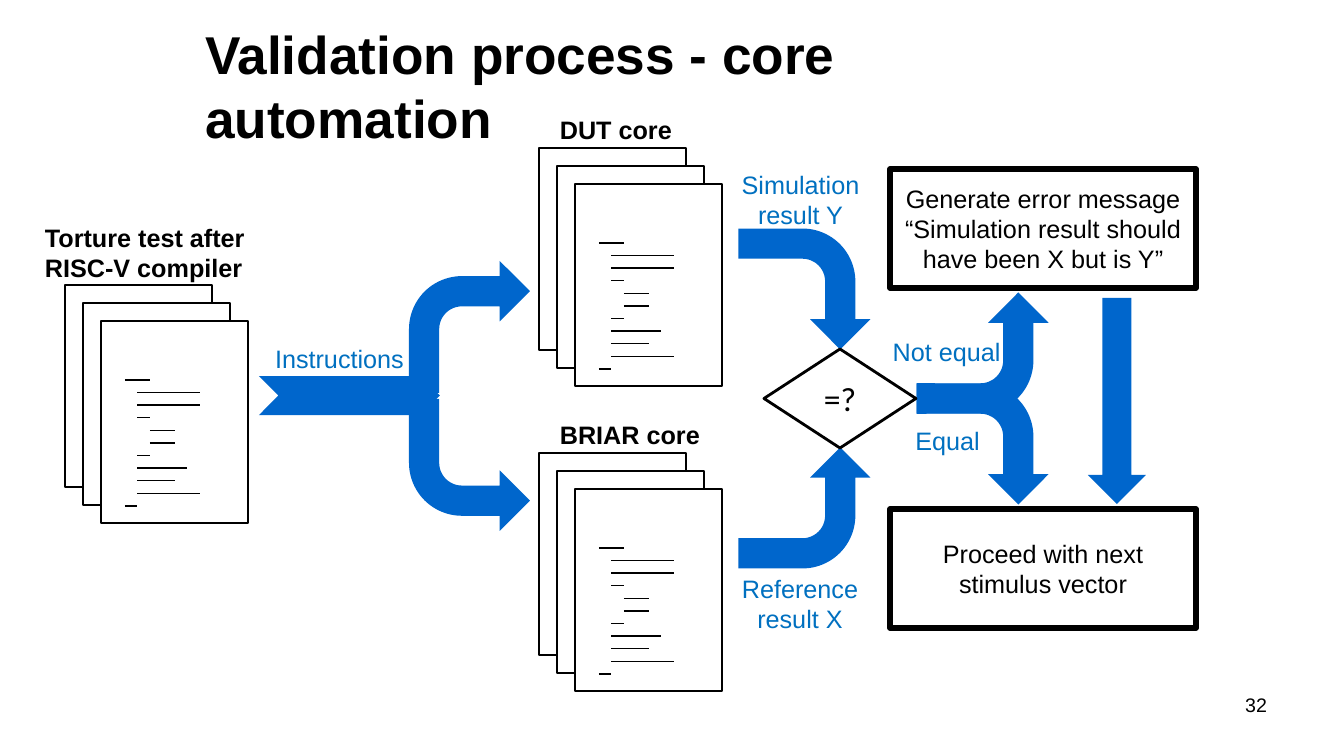
"""Build the slide on the validation process with core automation."""
import pptx
import pptx.dml.color
import pptx.enum.shapes
import pptx.enum.text
import pptx.oxml.ns
import pptx.util

RGB = pptx.dml.color.RGBColor
SHAPE = pptx.enum.shapes.MSO_SHAPE
ALIGN = pptx.enum.text.PP_ALIGN
ANCHOR = pptx.enum.text.MSO_ANCHOR

BLACK = RGB(0x00, 0x00, 0x00)
WHITE = RGB(0xFF, 0xFF, 0xFF)
ARROW_BLUE = RGB(0x00, 0x66, 0xCC)
LABEL_BLUE = RGB(0x00, 0x70, 0xC0)

SLIDE_SIZE = (1344, 756)
EMU_PER_PX = 12192000 / 1344

TITLE = ("Validation process - core automation", (195, 16, 900, 75))
NUMBER = ("32", (964, 688, 313, 52))
STACKS = [
    ("Torture test after RISC-V compiler", (65, 285), (35, 217, 251, 72)),
    ("DUT core", (539, 148), (550, 109, 207, 40)),
    ("BRIAR core", (539, 453), (550, 414, 207, 40)),
]
SHEET_SIZE = (147, 202)
SHEET_SHIFTS = (0, 18, 36)
CODE_START = (60, 95)
CODE_AREA = (75, 126)
CODE_COLUMNS = 6
CODE_LINES = [(0, 2), (1, 5), (1, 5), (1, 1), (2, 2), (2, 2),
              (1, 1), (1, 4), (1, 3), (1, 5), (0, 1)]
BENT_SIZE = (121, 132)
BENT_ARROWS = [
    ((409, 261), 0, False),
    ((409, 399), 0, True),
    ((744, 223), 90, False),
    ((744, 442), 270, True),
    ((922, 287), 270, True),
    ((922, 378), 90, False),
]
CHEVRON = (259, 376, 181, 39)
DOWN_ARROW = (1088, 298, 58, 206)
FLOW_LABELS = [
    ("Instructions", (259, 338, 161, 40)),
    ("Simulation result Y", (731, 164, 139, 72)),
    ("Reference result X", (730, 568, 140, 72)),
    ("Not equal", (880, 331, 133, 40)),
    ("Equal", (881, 420, 133, 40)),
]
DECISION = ("=?", (764, 349, 152, 99))
OUTCOMES = [
    ("Generate error message\n“Simulation result should have been X but is Y”", (890, 169, 306, 119)),
    ("Proceed with next stimulus vector", (890, 509, 306, 119)),
]


def px(length):
    return pptx.util.Emu(round(length * EMU_PER_PX))


def write(shape, text, size=18, color=BLACK, bold=False, align=ALIGN.LEFT,
          anchor=ANCHOR.TOP, font="Arial"):
    frame = shape.text_frame
    frame.text = text
    frame.auto_size = pptx.enum.text.MSO_AUTO_SIZE.NONE
    frame.word_wrap = True
    frame.vertical_anchor = anchor
    font_format = {"name": font, "size": pptx.util.Pt(size), "bold": bold}
    for para in frame.paragraphs:
        para.alignment = align
        for span in para.runs:
            for name, value in font_format.items():
                setattr(span.font, name, value)
            span.font.color.rgb = color


def add_label(shapes, text, box, **style):
    write(shapes.add_textbox(*map(px, box)), text, **style)


def add_figure(shapes, kind, box, fill=None, line=None):
    shape = shapes.add_shape(kind, *map(px, box))
    shape.shadow.inherit = False
    if fill is None:
        shape.fill.background()
    else:
        shape.fill.solid()
        shape.fill.fore_color.rgb = fill
    if line is None:
        shape.line.fill.background()
    else:
        shape.line.color.rgb = BLACK
        shape.line.width = pptx.util.Pt(line)
    return shape


def add_code_line(shapes, left, top, length):
    stroke = shapes.add_connector(pptx.enum.shapes.MSO_CONNECTOR.STRAIGHT,
                                  px(left), px(top), px(left + length), px(top))
    stroke.line.color.rgb = BLACK
    stroke.line.width = pptx.util.Pt(1)
    effects = pptx.oxml.ns.qn("a:effectLst")
    stroke._element.spPr.append(stroke._element.makeelement(effects, {}))


def add_stack(page, text, origin, label_box):
    shapes = page.shapes.add_group_shape().shapes
    left, top = origin
    for shift in SHEET_SHIFTS:
        add_figure(shapes, SHAPE.RECTANGLE, (left + shift, top + shift, *SHEET_SIZE), WHITE, 1.5)
    column = CODE_AREA[0] / CODE_COLUMNS
    row_height = CODE_AREA[1] / (len(CODE_LINES) - 1)
    for row, (indent, length) in enumerate(CODE_LINES):
        add_code_line(shapes, left + CODE_START[0] + indent * column,
                      top + CODE_START[1] + row * row_height, length * column)
    add_label(shapes, text, label_box, bold=True)


def add_bent_arrow(page, place, turn, flipped):
    arrow = add_figure(page.shapes, SHAPE.BENT_ARROW, (*place, *BENT_SIZE), ARROW_BLUE)
    arrow.rotation = turn
    if flipped:
        arrow._element.spPr.xfrm.set("flipV", "1")


def main():
    deck = pptx.Presentation()
    deck.slide_width, deck.slide_height = map(px, SLIDE_SIZE)
    page = deck.slides.add_slide(deck.slide_layouts[5])
    title = page.shapes.title
    for name, value in zip(("left", "top", "width", "height"), TITLE[1]):
        setattr(title, name, px(value))
    write(title, TITLE[0], size=38, bold=True)
    add_label(page.shapes, *NUMBER, size=14, align=ALIGN.RIGHT)
    add_figure(page.shapes, SHAPE.CHEVRON, CHEVRON, ARROW_BLUE)
    for stack in STACKS:
        add_stack(page, *stack)
    for arrow in BENT_ARROWS:
        add_bent_arrow(page, *arrow)
    add_figure(page.shapes, SHAPE.DOWN_ARROW, DOWN_ARROW, ARROW_BLUE)
    for text, box in FLOW_LABELS:
        add_label(page.shapes, text, box, color=LABEL_BLUE, align=ALIGN.CENTER)
    centred = {"align": ALIGN.CENTER, "anchor": ANCHOR.MIDDLE}
    diamond = add_figure(page.shapes, SHAPE.DIAMOND, DECISION[1], line=2)
    write(diamond, DECISION[0], size=24, font="Calibri", **centred)
    for text, box in OUTCOMES:
        write(add_figure(page.shapes, SHAPE.RECTANGLE, box, line=4), text, **centred)
    deck.save("out.pptx")


if __name__ == "__main__":
    main()
